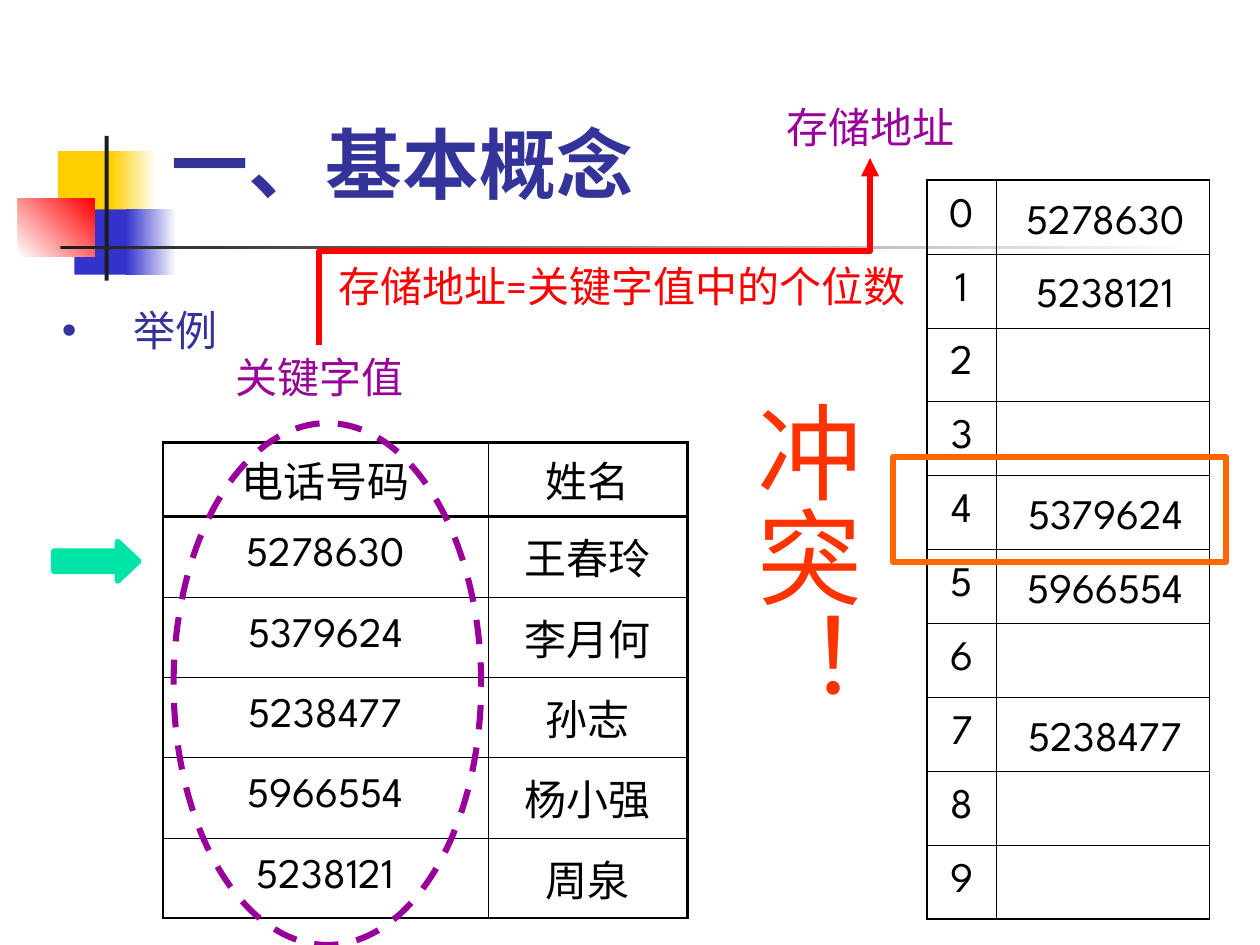
from lxml import etree
from pptx import Presentation
from pptx.dml.color import RGBColor
from pptx.enum.dml import MSO_LINE
from pptx.enum.shapes import MSO_CONNECTOR, MSO_SHAPE
from pptx.enum.text import MSO_ANCHOR, PP_ALIGN
from pptx.oxml.ns import qn
from pptx.util import Cm, Pt

RECTANGLE = MSO_SHAPE.RECTANGLE
ELLIPSE = MSO_SHAPE.OVAL
RIGHT_ARROW = MSO_SHAPE.RIGHT_ARROW
ELBOW = MSO_CONNECTOR.ELBOW
DASH = MSO_LINE.DASH
TOP, MIDDLE = MSO_ANCHOR.TOP, MSO_ANCHOR.MIDDLE
LEFT, CENTER = PP_ALIGN.LEFT, PP_ALIGN.CENTER

COLORS = {
    "black": "000000", "white": "FFFFFF", "yellow": "FFCF01",
    "blue": "3333CC", "navy": "333399", "red": "FF0000",
    "charcoal": "1C1C1C", "purple": "990099", "green": "00E4A8",
    "orange": "FF6600", "scarlet": "FF3300",
}
RGB = {name: RGBColor.from_string(value) for name, value in COLORS.items()}
BODY_FONT = "League Spartan"
TITLE_FONT = "Roboto"

deck = Presentation()
deck.slide_width = Cm(25.4)
deck.slide_height = Cm(19.05)
page = deck.slides.add_slide(deck.slide_layouts[6])


def add_text(text, place, color, size=24, font=BODY_FONT, align=LEFT,
             anchor=TOP, wrap=False, bold=False):
    box = page.shapes.add_textbox(*(Cm(value) for value in place))
    box.text_frame.word_wrap = wrap
    box.text_frame.vertical_anchor = anchor
    para = box.text_frame.paragraphs[0]
    para.text = text
    para.alignment = align
    para.font.name = font
    para.font.size = Pt(size)
    para.font.bold = bold
    para.font.color.rgb = RGB[color]
    return box


def add_grid(left, top, widths, heights, rows, thin, thick, header):
    frame = page.shapes.add_table(
        len(heights), len(widths), Cm(left), Cm(top),
        Cm(sum(widths)), Cm(sum(heights)))
    table = frame.table
    table.first_row = False
    table.horz_banding = False
    for column, width in zip(table.columns, widths):
        column.width = Cm(width)
    for row, height in zip(table.rows, heights):
        row.height = Cm(height)
    last_row, last_column = len(heights) - 1, len(widths) - 1
    for r, texts in enumerate(rows):
        for c, text in enumerate(texts):
            cell = table.cell(r, c)
            cell.vertical_anchor = MIDDLE
            para = cell.text_frame.paragraphs[0]
            para.text = text
            para.alignment = CENTER
            para.font.name = BODY_FONT
            para.font.size = Pt(24)
            para.font.color.rgb = RGB["black"]
            edges = {
                "a:lnL": c == 0,
                "a:lnR": c == last_column,
                "a:lnT": r == 0 or (header and r == 1),
                "a:lnB": r == last_row or (header and r == 0),
            }
            properties = cell._tc.get_or_add_tcPr()
            for tag, heavy in edges.items():
                border = etree.SubElement(properties, qn(tag))
                border.set("w", str(Pt(thick if heavy else thin)))
                fill = etree.SubElement(border, qn("a:solidFill"))
                etree.SubElement(fill, qn("a:srgbClr")).set("val", COLORS["black"])
            cell.fill.background()


decorations = [
    (1.17, 3.05, 1.22, 1.32, "yellow", None, 0),
    (2.24, 3.05, 0.91, 1.32, "yellow", "white", 0),
    (1.5, 4.22, 1.17, 1.32, "blue", None, 0),
    (2.54, 4.22, 1.02, 1.32, "blue", "white", 0),
    (0.36, 4.01, 1.55, 1.17, "white", "red", 45),
    (2.11, 2.74, 0.08, 2.92, "charcoal", None, 0),
    (1.22, 4.95, 22.86, 0.08, "charcoal", "white", 0),
]
for *place, start, end, angle in decorations:
    block = page.shapes.add_shape(RECTANGLE, *(Cm(value) for value in place))
    block.shadow.inherit = False
    block.line.fill.background()
    if end is None:
        block.fill.solid()
        block.fill.fore_color.rgb = RGB[start]
    else:
        block.fill.gradient()
        block.fill.gradient_angle = angle
        for stop, color in zip(block.fill.gradient_stops, (start, end)):
            stop.color.rgb = RGB[color]

example = add_text("举例", (1, 6.02, 22.99, 11.99), "navy", wrap=True)
bullet_format = example.text_frame.paragraphs[0]._p.get_or_add_pPr()
bullet_format.set("marL", str(Cm(1.45)))
bullet_format.set("indent", str(Cm(-1.45)))
etree.SubElement(bullet_format, qn("a:buFont")).set("typeface", "Arial")
etree.SubElement(bullet_format, qn("a:buChar")).set("char", "•")
bullet_format.append(bullet_format.find(qn("a:defRPr")))

add_text("一、基本概念", (3.2, 1.7, 21.64, 3.18), "navy", 44, TITLE_FONT,
         anchor=MIDDLE, wrap=True, bold=True)

contacts = [
    ("电话号码", "姓名"),
    ("5278630", "王春玲"),
    ("5379624", "李月何"),
    ("5238477", "孙志"),
    ("5966554", "杨小强"),
    ("5238121", "周泉"),
]
add_grid(3.28, 8.92, [6.56, 4.02], [1.49] + [1.62] * 5, contacts, 0.11, 1.47, True)

slot_top, slot_height = 3.63, 1.49
slots = [(str(index), "") for index in range(10)]

key_ring = page.shapes.add_shape(ELLIPSE, Cm(3.5), Cm(8.53), Cm(6.2), Cm(10.52))
key_ring.line.color.rgb = RGB["purple"]
key_ring.line.dash_style = DASH

add_text("关键字值", (4.5, 6.96, 3.91, 1.27), "purple")
add_text("存储地址", (15.6, 1.93, 3.91, 1.27), "purple")
add_text("存储地址=关键字值中的个位数", (5.99, 5.13, 13.11, 1.27), "red",
         align=CENTER, wrap=True)

add_grid(18.69, slot_top, [1.4, 4.29], [slot_height] * 10, slots, 0.45, 1.08, False)

mapping = page.shapes.add_connector(ELBOW, Cm(13.87), Cm(10.62), Cm(10.11), Cm(-0.48))
mapping.line.color.rgb = RGB["red"]
mapping.line.width = Pt(3.5)
mapping_format = mapping._element.spPr
mapping_format.find(qn("a:xfrm")).set("rot", "5400000")
etree.SubElement(mapping.line._get_or_add_ln(), qn("a:tailEnd")).set("type", "triangle")
etree.SubElement(mapping_format, qn("a:effectLst"))

stored = {0: "5278630", 1: "5238121", 4: "5379624", 5: "5966554", 7: "5238477"}
for slot, number in stored.items():
    add_text(number, (20.29, slot_top + 0.1 + slot * slot_height, 3.99, 1.3),
             "black", align=CENTER, anchor=MIDDLE)

pointer = page.shapes.add_shape(RIGHT_ARROW, Cm(1.09), Cm(10.92), Cm(1.7), Cm(0.79))
pointer.adjustments[1] = 0.53
pointer.fill.solid()
pointer.fill.fore_color.rgb = RGB["green"]
pointer.line.color.rgb = RGB["green"]

collision_frame = page.shapes.add_shape(RECTANGLE, Cm(18), Cm(9.22), Cm(6.71), Cm(2.11))
collision_frame.line.color.rgb = RGB["orange"]

for outline in (key_ring, collision_frame):
    outline.fill.background()
for marker in (key_ring, pointer, collision_frame):
    marker.shadow.inherit = False
    marker.line.width = Pt(3.5)

warning = add_text("冲突！", (14.6, 7.82, 3.05, 7.8), "scarlet", 60, wrap=True)
warning_frame = warning.text_frame
warning_frame._txBody.bodyPr.set("vert", "eaVert")
warning_frame.margin_left = warning_frame.margin_right = Cm(0.13)
warning_frame.margin_top = warning_frame.margin_bottom = Cm(0.25)

deck.save("out.pptx")
